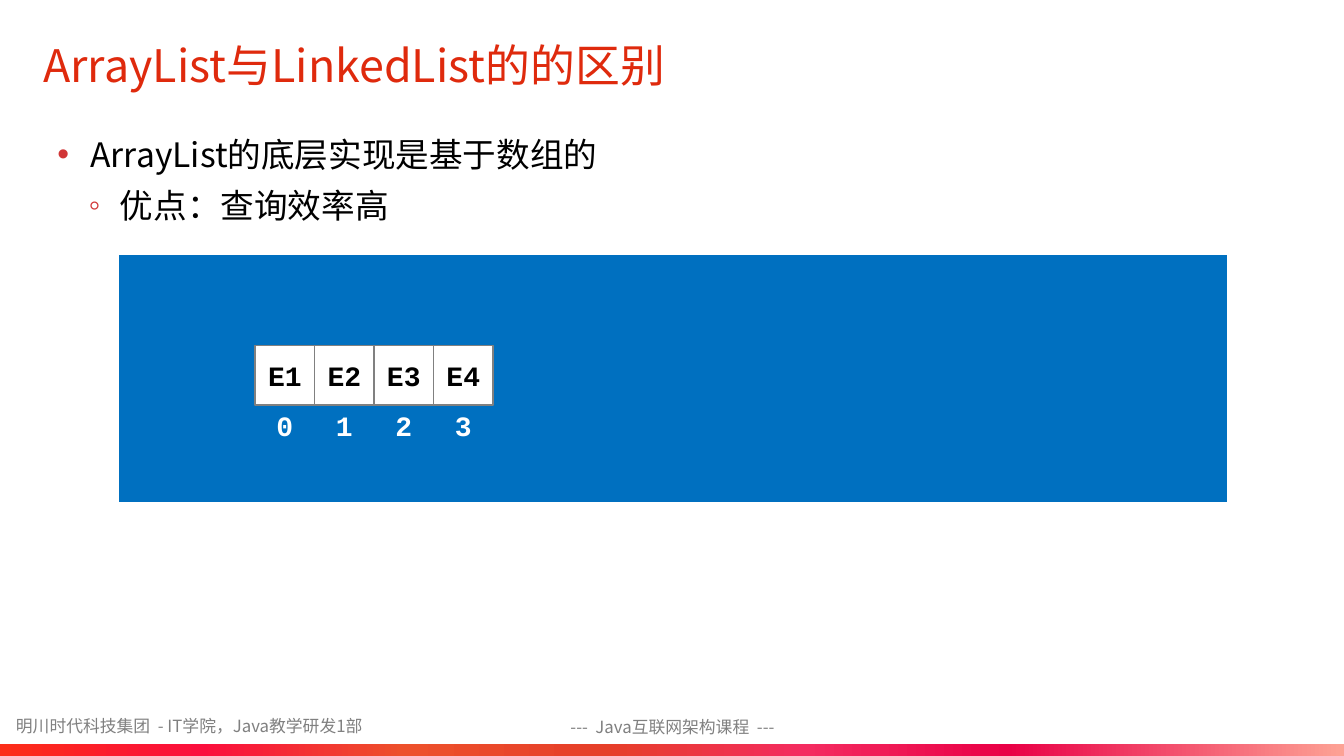
"""Build a slide on the difference between ArrayList and LinkedList."""
from lxml.etree import SubElement
from pptx import Presentation
from pptx.dml.color import RGBColor
from pptx.enum.shapes import MSO_SHAPE
from pptx.enum.text import MSO_ANCHOR, MSO_AUTO_SIZE, PP_ALIGN
from pptx.oxml.ns import qn
from pptx.util import Inches, Pt

RED = RGBColor(0xDF, 0x2A, 0x0D)
BULLET_RED = RGBColor(0xD1, 0x36, 0x37)
BLUE = RGBColor(0x00, 0x70, 0xC0)
GRAY = RGBColor(0x80, 0x80, 0x80)
BLACK = RGBColor(0x00, 0x00, 0x00)
WHITE = RGBColor(0xFF, 0xFF, 0xFF)
BAND_STOPS = [
    (0, RGBColor(0xFC, 0x2D, 0x18)),
    (15, RGBColor(0xFB, 0x0F, 0x3D)),
    (30, RGBColor(0xED, 0x50, 0x2B)),
    (45, RGBColor(0xE6, 0x3F, 0x29)),
    (60, RGBColor(0xF4, 0x2B, 0x60)),
    (75, RGBColor(0xE9, 0x00, 0x46)),
    (100, RGBColor(0xFD, 0xA2, 0x95)),
]


class SlideBuilder:
    """Hold the fonts and the current page, and add each kind of element."""

    text_font = "Noto Sans CJK SC"
    code_font = "Courier New"

    def __init__(self, page):
        """Keep the page to draw on."""
        self.page = page

    def span(self, para, text, size, color, font=text_font, bold=False):
        """Add one formatted run to a paragraph."""
        span = para.add_run()
        span.text = text
        span.font.size = Pt(size)
        span.font.bold = bold
        span.font.color.rgb = color
        span.font.name = font
        SubElement(span.font._element, qn("a:ea"), typeface=font)

    def frame(self, box, anchor=MSO_ANCHOR.MIDDLE):
        """Prepare the text frame of a box and return its first paragraph."""
        frame = box.text_frame
        frame.word_wrap = True
        frame.auto_size = MSO_AUTO_SIZE.NONE
        frame.vertical_anchor = anchor
        return frame.paragraphs[0]

    def title(self, text, left, top, width, height):
        """Place and fill the title placeholder."""
        box = self.page.shapes.title
        box.left, box.top = Inches(left), Inches(top)
        box.width, box.height = Inches(width), Inches(height)
        para = self.frame(box)
        para.alignment = PP_ALIGN.LEFT
        self.span(para, text, 32, RED)

    def text_box(self, left, top, width, height):
        """Add an empty text box."""
        return self.page.shapes.add_textbox(
            Inches(left), Inches(top), Inches(width), Inches(height))

    def label(self, text, area, size, color, align=PP_ALIGN.CENTER, **style):
        """Add a single line of text."""
        para = self.frame(self.text_box(*area))
        para.alignment = align
        self.span(para, text, size, color, **style)

    def bullets(self, items, left, top, width, height):
        """Add a bulleted list of (text, level, mark, margin, hang, before)."""
        box = self.text_box(left, top, width, height)
        para = self.frame(box, MSO_ANCHOR.TOP)
        for index, (text, level, mark, margin, hang, before) in enumerate(items):
            if index:
                para = box.text_frame.add_paragraph()
            para.level = level
            para.alignment = PP_ALIGN.JUSTIFY
            para.line_spacing = 1.1
            para.space_before = Pt(before)
            properties = para._p.get_or_add_pPr()
            properties.set("marL", str(Inches(margin)))
            properties.set("indent", str(-Inches(hang)))
            color = SubElement(properties, qn("a:buClr"))
            SubElement(color, qn("a:srgbClr"), val=str(BULLET_RED))
            SubElement(properties, qn("a:buFont"), typeface="Arial")
            SubElement(properties, qn("a:buChar"), char=mark)
            self.span(para, text, 24, BLACK)

    def rectangle(self, left, top, width, height, fill=None, line=None):
        """Add a rectangle with an optional solid fill and outline."""
        box = self.page.shapes.add_shape(
            MSO_SHAPE.RECTANGLE,
            Inches(left), Inches(top), Inches(width), Inches(height))
        box.shadow.inherit = False
        if fill is not None:
            box.fill.solid()
            box.fill.fore_color.rgb = fill
        if line is None:
            box.line.fill.background()
        else:
            box.line.color.rgb = line
            box.line.width = Pt(1)
        return box

    def gradient_band(self, stops, *area):
        """Add a rectangle with a left-to-right gradient."""
        band = self.rectangle(*area)
        band.fill.gradient()
        band.fill.gradient_angle = 0
        stop_list = next(band._element.iter(qn("a:gsLst")))
        stop_list.clear()
        for percent, color in stops:
            stop = SubElement(stop_list, qn("a:gs"), pos=str(percent * 1000))
            SubElement(stop, qn("a:srgbClr"), val=str(color))

    def array(self, names, left, top, side):
        """Draw adjoining array cells with their indexes below."""
        style = {"font": self.code_font, "bold": True}
        for index, name in enumerate(names):
            x = left + index * side
            cell = self.rectangle(x, top, side, side, WHITE, GRAY)
            para = self.frame(cell)
            para.alignment = PP_ALIGN.CENTER
            cell.text_frame.margin_left = cell.text_frame.margin_right = 0
            self.span(para, name, 20, BLACK, **style)
            self.label(str(index), (x, top + side, side, 0.39), 20, WHITE, **style)


def main():
    """Create the deck and save it."""
    deck = Presentation()
    deck.slide_width, deck.slide_height = Inches(13.33), Inches(7.5)
    slide = SlideBuilder(deck.slides.add_slide(deck.slide_layouts[5]))
    slide.label("明川时代科技集团  - IT学院，Java教学研发1部",
                (0.06, 7.05, 4.42, 0.31), 12, GRAY, PP_ALIGN.LEFT)
    slide.label("---  Java互联网架构课程  ---",
                (4.95, 7.05, 3.44, 0.32), 12, GRAY)
    slide.gradient_band(BAND_STOPS, 0, 7.38, 13.33, 0.12)
    slide.title("ArrayList与LinkedList的的区别", 0.33, 0.29, 10.63, 0.71)
    slide.bullets([
        ("ArrayList的底层实现是基于数组的", 0, "•", 0.33, 0.33, 10),
        ("优点：查询效率高", 1, "◦", 0.62, 0.31, 5),
    ], 0.47, 1.24, 12.4, 1.16)
    slide.rectangle(1.17, 2.52, 11.01, 2.47, BLUE, WHITE)
    slide.array(["E1", "E2", "E3", "E4"], 2.53, 3.43, 0.59)
    deck.save("out.pptx")


if __name__ == "__main__":
    main()
